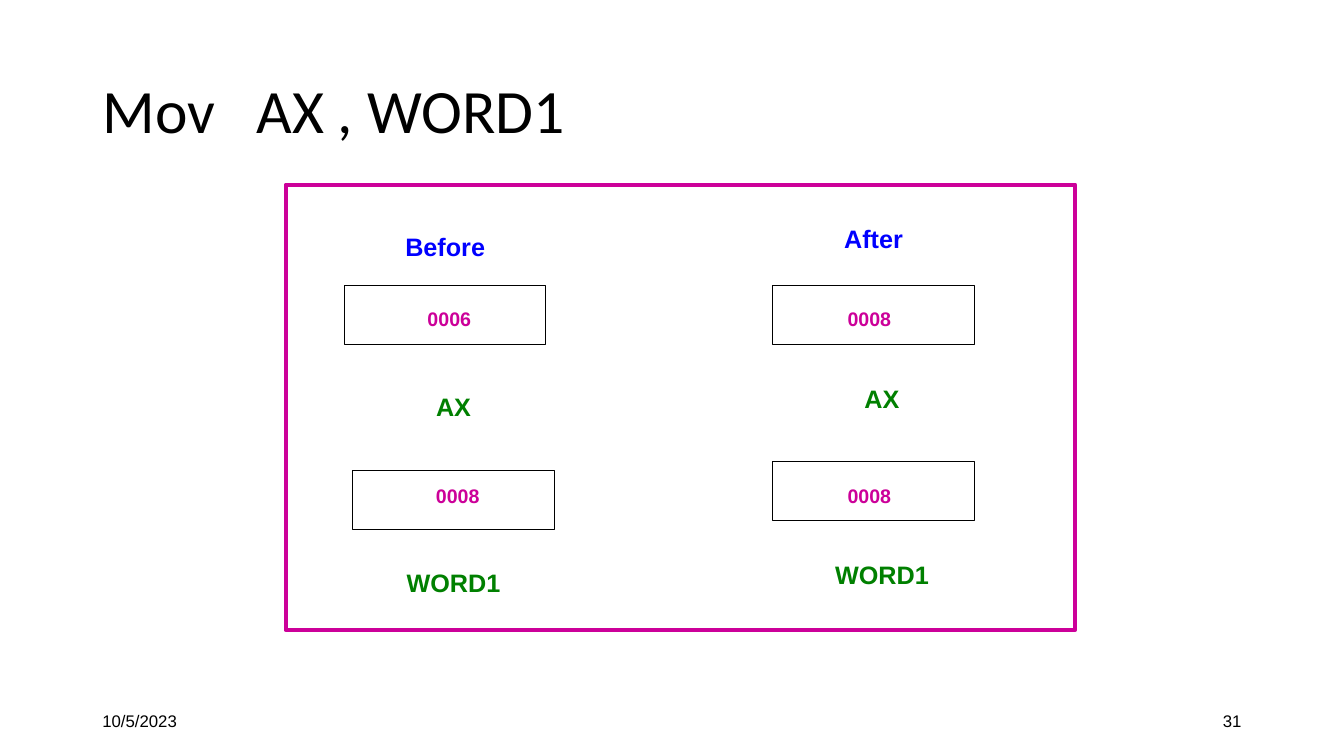
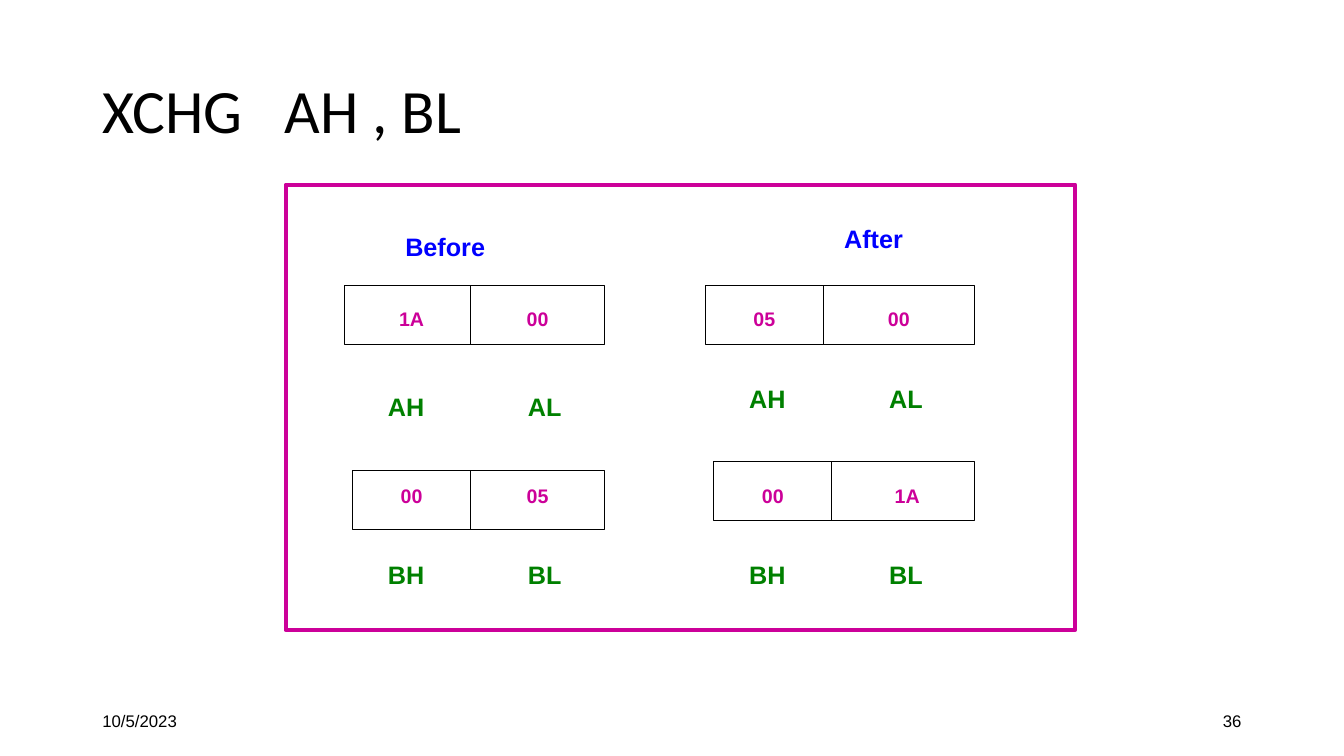
from lxml import etree
from pptx import Presentation
from pptx.dml.color import RGBColor
from pptx.enum.shapes import MSO_CONNECTOR as Connector, MSO_SHAPE as Shape
from pptx.enum.text import MSO_ANCHOR as Anchor, MSO_AUTO_SIZE as AutoSize, PP_ALIGN as Align
from pptx.oxml.ns import qn
from pptx.util import Pt

BLACK, MAGENTA, BLUE, GREEN = "000000", "CC0099", "0000FF", "008000"
TITLE = {"name": "Calibri", "size": Pt(44), "bold": False}
FOOTER = {"name": "Arial", "size": Pt(12), "bold": False}
LABEL = {"name": "Arial", "size": Pt(18), "bold": True}
VALUE = {"name": "Arial", "size": Pt(14), "bold": True}

DATE = "10/5/2023"
FRAME = (204, 132, 564, 318)
HEADINGS = [("Before", 246, 162), ("After", 552, 156)]
REGISTER_HEIGHT = 42
VALUE_TOPS = (216, 342)
HALF_TAB = 100  # from the high half's name to the low half's name

# Registers run row by row, Before then After.
# box: left, top, width; name: text, left, top; values: text, left
SLIDES = [
    {"title": "Mov\tAX , WORD1", "tab": 110, "number": "31", "registers": [
        {"box": (246, 204, 144), "name": ("AX", 270, 276), "values": [("0006", 264)]},
        {"box": (552, 204, 144), "name": ("AX", 576, 270), "values": [("0008", 564)]},
        {"box": (252, 336, 144), "name": ("WORD1", 270, 402), "values": [("0008", 270)]},
        {"box": (552, 330, 144), "name": ("WORD1", 576, 396), "values": [("0008", 564)]},
    ]},
    {"title": "XCHG\tAH , BL", "tab": 130, "number": "36", "registers": [
        {"box": (246, 204, 186), "divider": 336, "name": ("AH\tAL", 270, 276),
         "values": [("1A", 264), ("00", 354)]},
        {"box": (504, 204, 192), "divider": 588, "name": ("AH\tAL", 528, 270),
         "values": [("05", 516), ("00", 612)]},
        {"box": (252, 336, 180), "divider": 336, "name": ("BH\tBL", 270, 396),
         "values": [("00", 264), ("05", 354)]},
        {"box": (510, 330, 186), "divider": 594, "name": ("BH\tBL", 528, 396),
         "values": [("00", 522), ("1A", 618)]},
    ]},
]


def color(hex_string):
    return RGBColor.from_string(hex_string)


def write(shape, text, style, hex_color, align=Align.LEFT, anchor=Anchor.TOP, tab=None):
    """Fill a shape with one formatted paragraph, with an optional tab stop."""
    frame = shape.text_frame
    frame.text = text
    settings = {"word_wrap": True, "auto_size": AutoSize.NONE, "vertical_anchor": anchor}
    for name, setting in settings.items():
        setattr(frame, name, setting)
    paragraph = frame.paragraphs[0]
    paragraph.alignment = align
    if tab:
        tab_list = etree.SubElement(paragraph._p.get_or_add_pPr(), qn("a:tabLst"))
        etree.SubElement(tab_list, qn("a:tab"), pos=str(Pt(tab)), algn="l")
    for name, setting in style.items():
        setattr(paragraph.font, name, setting)
    paragraph.font.color.rgb = color(hex_color)
    return paragraph


def add_text(slide, bounds, *args, **options):
    write(slide.shapes.add_textbox(*map(Pt, bounds)), *args, **options)


def add_outline(slide, bounds, hex_color, width):
    shape = slide.shapes.add_shape(Shape.RECTANGLE, *map(Pt, bounds))
    shape.shadow.inherit = False
    shape.fill.background()
    shape.line.color.rgb = color(hex_color)
    shape.line.width = Pt(width)


def add_divider(slide, x, top):
    ends = map(Pt, (x, top, x, top + REGISTER_HEIGHT))
    line = slide.shapes.add_connector(Connector.STRAIGHT, *ends)
    line.line.color.rgb = color(BLACK)
    line.line.width = Pt(0.75)
    etree.SubElement(line._element.spPr, qn("a:effectLst"))


def add_register(slide, register, value_top):
    left, top, width = register["box"]
    add_outline(slide, (left, top, width, REGISTER_HEIGHT), BLACK, 0.75)
    name, name_left, name_top = register["name"]
    if "divider" in register:
        add_divider(slide, register["divider"], top)
        name_width, value_width, align, tab = 144, 60, Align.LEFT, HALF_TAB
    else:
        name_width, value_width, align, tab = 108, 114, Align.CENTER, None
    add_text(slide, (name_left, name_top, name_width, 29), name, LABEL, GREEN, align, tab=tab)
    for value, value_left in register["values"]:
        add_text(slide, (value_left, value_top, value_width, 24),
                 value, VALUE, MAGENTA, Align.CENTER)


def add_base(presentation, title, tab, number):
    """Add a slide with the parts all slides share."""
    slide = presentation.slides.add_slide(presentation.slide_layouts[5])
    placeholder = slide.shapes.title
    bounds = {"left": 66, "top": 29, "width": 828, "height": 104}
    for name, length in bounds.items():
        setattr(placeholder, name, Pt(length))
    paragraph = write(placeholder, title, TITLE, BLACK, anchor=Anchor.MIDDLE, tab=tab)
    paragraph.line_spacing = 0.9
    for text, left, align in [(DATE, 66, Align.LEFT), (number, 678, Align.RIGHT)]:
        add_text(slide, (left, 500.5, 216, 29), text, FOOTER, BLACK, align, Anchor.MIDDLE)
    add_outline(slide, FRAME, MAGENTA, 3)
    for text, left, top in HEADINGS:
        add_text(slide, (left, top, 144, 29), text, LABEL, BLUE, Align.CENTER)
    return slide


def main():
    presentation = Presentation()
    presentation.slide_width, presentation.slide_height = Pt(960), Pt(540)
    for content in SLIDES:
        slide = add_base(presentation, content["title"], content["tab"], content["number"])
        for index, register in enumerate(content["registers"]):
            add_register(slide, register, VALUE_TOPS[index // 2])
    presentation.save("out.pptx")


if __name__ == "__main__":
    main()
